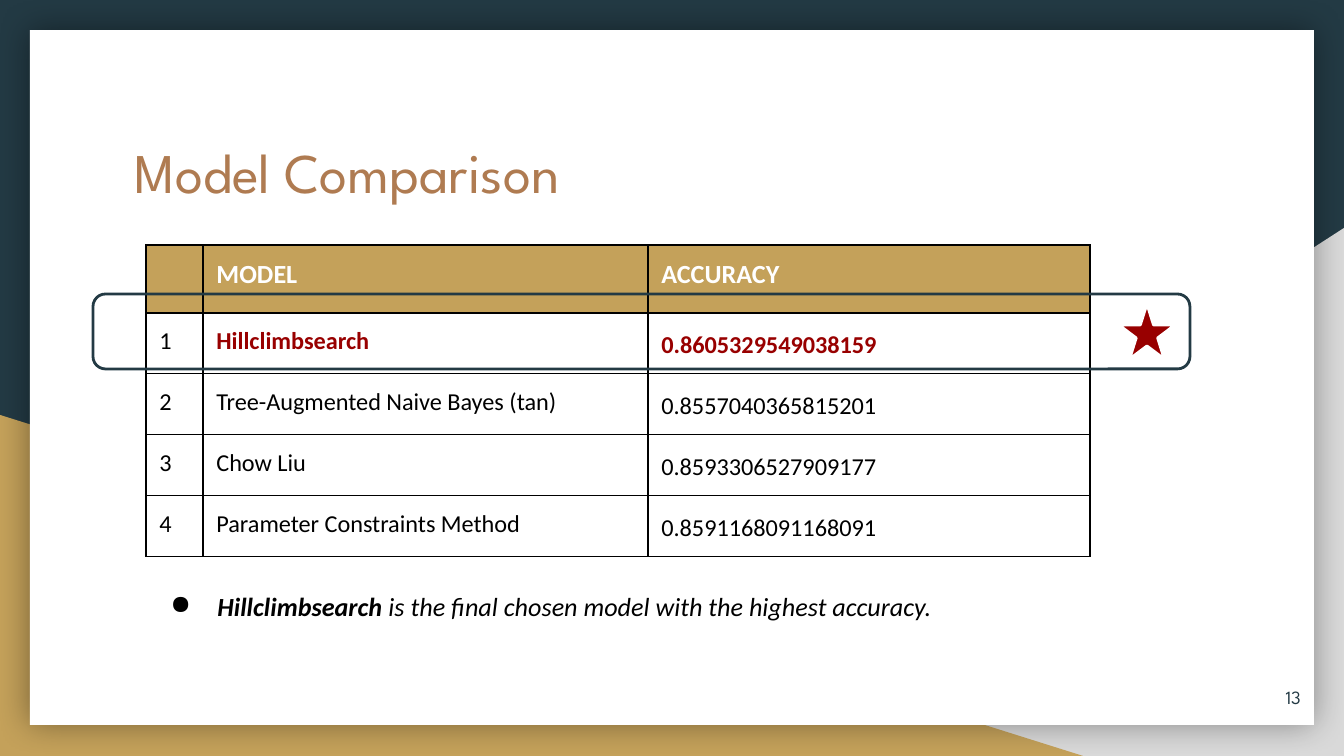
from lxml import etree
from pptx import Presentation, util as u
from pptx.dml.color import RGBColor
from pptx.enum import shapes, text
from pptx.oxml.ns import qn

PX = 914400 / 134.4
COLORS = {"navy": "233A44", "grey": "D9D9D9", "gold": "C4A15A", "white": "FFFFFF",
          "copper": "AF7B51", "black": "000000", "red": "980000"}


def px(*lengths):
    return [u.Emu(round(length * PX)) for length in lengths]


def add_run(paragraph, words, size, color, font="Calibri", bold=False, italic=False):
    run = paragraph.add_run()
    run.text = words
    run.font.name, run.font.size = font, u.Pt(size)
    run.font.bold, run.font.italic = bold, italic
    run.font.color.rgb = RGBColor.from_string(COLORS[color])


prs = Presentation()
prs.slide_width, prs.slide_height = px(1344, 756)
slide = prs.slides.add_slide(prs.slide_layouts[5])
slide.background.fill.solid()
slide.background.fill.fore_color.rgb = RGBColor.from_string(COLORS["navy"])

# Backdrop, then the frame and star that mark the best model
KINDS = shapes.MSO_SHAPE
drawn = {}
for part, kind, box, fill, line in [
    ("grey corner", KINDS.RIGHT_TRIANGLE, (527, 228, 817, 528), "grey", None),
    ("gold corner", KINDS.RIGHT_TRIANGLE, (0, 415, 1083, 341), "gold", None),
    ("page", KINDS.RECTANGLE, (30, 30, 1284, 695), "white", None),
    ("frame", KINDS.ROUNDED_RECTANGLE, (93, 294, 1097, 75), None, "navy"),
    ("star", KINDS.STAR_5_POINT, (1119, 304, 56, 55), "red", "white"),
]:
    shape = drawn[part] = slide.shapes.add_shape(kind, *px(*box))
    shape.shadow.inherit = False
    if fill:
        shape.fill.solid()
        shape.fill.fore_color.rgb = RGBColor.from_string(COLORS[fill])
    else:
        shape.fill.background()
    if line:
        shape.line.color.rgb = RGBColor.from_string(COLORS[line])
        shape.line.width = u.Pt(1.5)
    else:
        shape.line.fill.background()

drawn["grey corner"]._element.spPr.find(qn("a:xfrm")).set("flipH", "1")
effects = drawn["page"]._element.spPr.find(qn("a:effectLst"))
glow = etree.SubElement(effects, qn("a:outerShdw"), blurRad=str(u.Pt(18)), dist="0",
                        algn="ctr", rotWithShape="0")
tint = etree.SubElement(glow, qn("a:srgbClr"), val=COLORS["black"])
etree.SubElement(tint, qn("a:alpha"), val="40000")

# Title
title = slide.shapes.title
title.left, title.top, title.width, title.height = px(121, 124, 1103, 140)
heading = title.text_frame
heading.vertical_anchor = text.MSO_ANCHOR.TOP
heading.margin_left = heading.margin_right = heading.margin_top = heading.margin_bottom = u.Inches(0.1)
heading.paragraphs[0].alignment = text.PP_ALIGN.LEFT
add_run(heading.paragraphs[0], "Model Comparison", 30, "copper", "League Spartan")

# Table of accuracies
results = [
    ("", "MODEL", "ACCURACY"),
    ("1", "Hillclimbsearch", "0.8605329549038159"),
    ("2", "Tree-Augmented Naive Bayes (tan)", "0.8557040365815201"),
    ("3", "Chow Liu", "0.8593306527909177"),
    ("4", "Parameter Constraints Method", "0.8591168091168091"),
]
widths = (57, 445, 442)
table_frame = slide.shapes.add_table(len(results), len(widths), *px(146, 245, sum(widths), 56 * len(results)))
table = table_frame.table
table.first_row = table.horz_banding = False
for column, width in zip(table.columns, px(*widths)):
    column.width = width
for r, row in enumerate(results):
    for c, words in enumerate(row):
        cell = table.cell(r, c)
        cell.margin_left = cell.margin_right = cell.margin_top = cell.margin_bottom = u.Inches(0.1)
        paragraph = cell.text_frame.paragraphs[0]
        best = r == 1 and c > 0
        if r == 0:
            cell.fill.solid()
            cell.fill.fore_color.rgb = RGBColor.from_string(COLORS["gold"])
        else:
            cell.fill.background()
            if c == 2:
                paragraph.line_spacing = 1.15
        if words:
            color = "white" if r == 0 else "red" if best else "black"
            add_run(paragraph, words, 14 if r == 0 else 13, color, bold=r == 0 or best)
        tc_pr = cell._tc.get_or_add_tcPr()
        for i, side in enumerate(("lnL", "lnR", "lnT", "lnB")):
            border = etree.Element(qn(f"a:{side}"), w=str(u.Pt(0.75)))
            solid = etree.SubElement(border, qn("a:solidFill"))
            etree.SubElement(solid, qn("a:srgbClr"), val=COLORS["black"])
            tc_pr.insert(i, border)

# The frame and star lie over the table
drawn["frame"]._element.addprevious(table_frame._element)
drawn["frame"]._element.addprevious(title._element)

# Conclusion and page number
notes = []
for box, anchor in [((137, 577, 954, 59), text.MSO_ANCHOR.TOP),
                    ((1234, 668, 80, 58), text.MSO_ANCHOR.MIDDLE)]:
    frame = slide.shapes.add_textbox(*px(*box)).text_frame
    frame.word_wrap = True
    frame.vertical_anchor = anchor
    frame.margin_left = frame.margin_right = frame.margin_top = frame.margin_bottom = u.Inches(0.1)
    notes.append(frame.paragraphs[0])
conclusion, page_number = notes

bullet = conclusion._p.get_or_add_pPr()
bullet.set("marL", str(u.Inches(0.5)))
bullet.set("indent", str(u.Inches(-0.35)))
bullet_color = etree.SubElement(bullet, qn("a:buClr"))
etree.SubElement(bullet_color, qn("a:srgbClr"), val=COLORS["black"])
etree.SubElement(bullet, qn("a:buChar"), char="●")
add_run(conclusion, "Hillclimbsearch", 14, "black", bold=True, italic=True)
add_run(conclusion, " is the final chosen model with the highest accuracy.", 14, "black", italic=True)

page_number.alignment = text.PP_ALIGN.RIGHT
add_run(page_number, "13", 10, "navy", "League Spartan")

prs.save("out.pptx")
